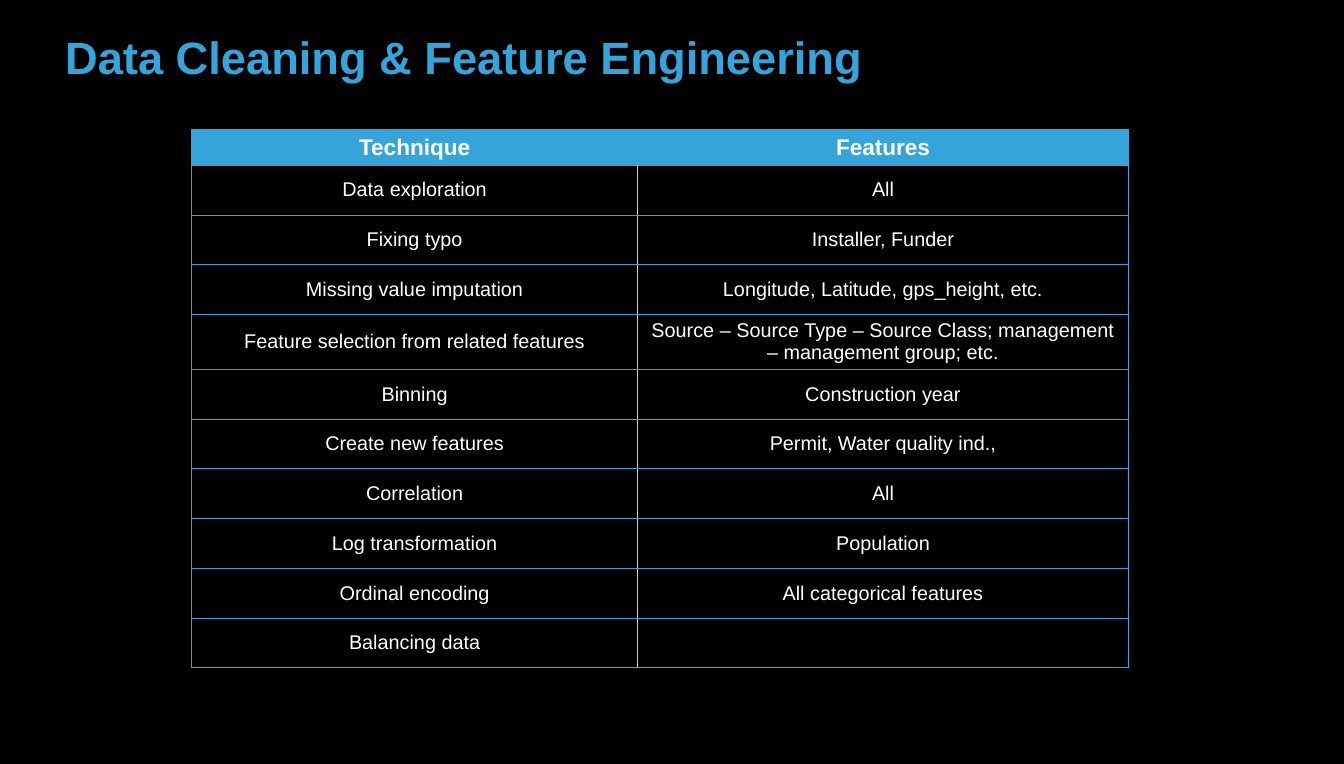
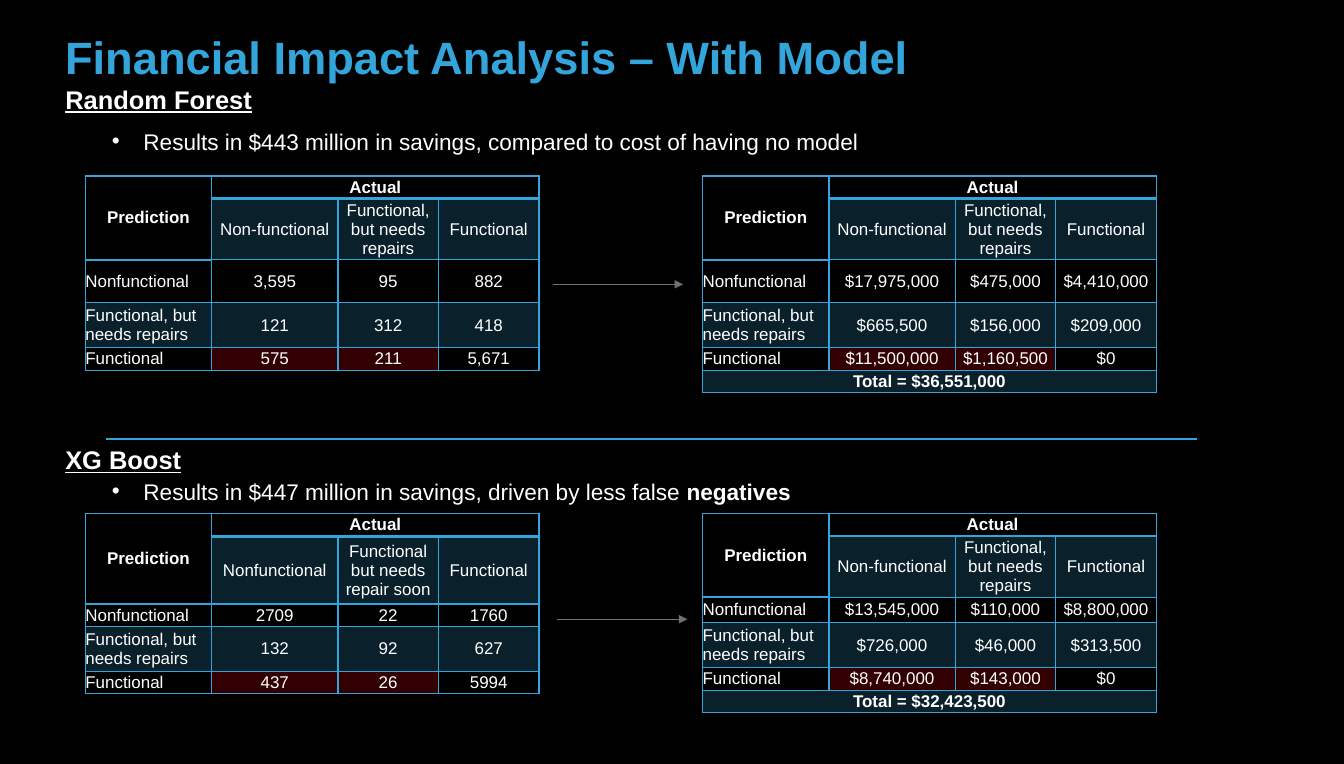
import pptx
import pptx.dml.color
import pptx.enum.shapes
import pptx.enum.text
import pptx.oxml
import pptx.oxml.ns
import pptx.util
from pptx.util import Cm

ACCENT, WHITE, BLACK, GREY = "34A5DA", "FFFFFF", "000000", "717171"
DIVIDER, BAND, MISSED = "AEDBF0", "0A212C", "320000"
FONT = "Arial"
NO_GRID_STYLE = "{2D5ABB26-0587-4C30-8999-92F81FD0307C}"
LEFT = pptx.enum.text.PP_ALIGN.LEFT
CENTER = pptx.enum.text.PP_ALIGN.CENTER
MIDDLE = pptx.enum.text.MSO_ANCHOR.MIDDLE


def paint(color_format, color):
    color_format.rgb = pptx.dml.color.RGBColor.from_string(color)


def add_xml(parent, tag, **attributes):
    child = pptx.oxml.parse_xml(f"<a:{tag} {pptx.oxml.ns.nsdecls('a')}/>")
    for name, value in attributes.items():
        child.set(name, str(value))
    parent.append(child)
    return child


class Slides:
    def __init__(self):
        self.deck = pptx.Presentation()
        self.deck.slide_width, self.deck.slide_height = Cm(33.53), Cm(19.05)
        backdrop = self.deck.slide_master.background.fill
        backdrop.solid()
        paint(backdrop.fore_color, BLACK)
        self.page = None

    def span(self, para, text, size, bold=False, color=WHITE, underline=False):
        span = para.add_run()
        span.text = text
        span.font.name, span.font.size = FONT, pptx.util.Pt(size)
        span.font.bold, span.font.underline = bold, underline
        paint(span.font.color, color)

    def new_page(self, title):
        self.page = self.deck.slides.add_slide(self.deck.slide_layouts[5])
        box = self.page.shapes.title
        box.left, box.top, box.width, box.height = Cm(1.37), Cm(0.33), Cm(30.25), Cm(2.13)
        box.text_frame.vertical_anchor = MIDDLE
        para = box.text_frame.paragraphs[0]
        para.alignment = LEFT
        self.span(para, title, 32, True, ACCENT)

    def text_box(self, left, top, width, height):
        box = self.page.shapes.add_textbox(Cm(left), Cm(top), Cm(width), Cm(height))
        box.text_frame.word_wrap = True
        return box.text_frame

    def heading(self, top, text):
        frame = self.text_box(1.38, top, 7.62, 1.02)
        self.span(frame.paragraphs[0], text, 18, True, underline=True)

    def bullet(self, top, plain, strong=""):
        frame = self.text_box(2.79, top, 21.11, 0.69)
        frame.margin_left = frame.margin_right = frame.margin_top = frame.margin_bottom = 0
        para = frame.paragraphs[0]
        properties = para._p.get_or_add_pPr()
        properties.set("marL", str(Cm(0.79)))
        properties.set("indent", str(-Cm(0.79)))
        add_xml(properties, "buFont", typeface=FONT)
        add_xml(properties, "buChar", char="•")
        self.span(para, plain, 16)
        if strong:
            self.span(para, strong, 16, True)

    def line(self, left, right, y, color, weight, arrow=False):
        line = self.page.shapes.add_connector(
            pptx.enum.shapes.MSO_CONNECTOR.STRAIGHT, Cm(left), Cm(y), Cm(right), Cm(y))
        line.line.width = pptx.util.Pt(weight)
        paint(line.line.color, color)
        if arrow:
            add_xml(line.line._get_or_add_ln(), "tailEnd", type="triangle")
        add_xml(line._element.spPr, "effectLst")

    def grid(self, left, top, widths, heights):
        frame = self.page.shapes.add_table(
            len(heights), len(widths), Cm(left), Cm(top), Cm(sum(widths)), Cm(sum(heights)))
        table = frame.table
        table.first_row = table.horz_banding = False
        table._tbl.tblPr.find(pptx.oxml.ns.qn("a:tableStyleId")).text = NO_GRID_STYLE
        for column, width in zip(table.columns, widths):
            column.width = Cm(width)
        for row, height in zip(table.rows, heights):
            row.height = Cm(height)
        return table

    def cell(self, cell, text, size, borders, inset=(0, 0), fill=None, bold=False, align=CENTER):
        properties = cell._tc.get_or_add_tcPr()
        for side, (color, weight) in borders.items():
            edge = add_xml(properties, f"ln{side}", w=pptx.util.Pt(weight))
            add_xml(add_xml(edge, "solidFill"), "srgbClr", val=color)
        if fill:
            cell.fill.solid()
            paint(cell.fill.fore_color, fill)
        else:
            cell.fill.background()
        cell.margin_left = cell.margin_right = Cm(inset[0])
        cell.margin_top = cell.margin_bottom = Cm(inset[1])
        cell.vertical_anchor = MIDDLE
        para = cell.text_frame.paragraphs[0]
        para.alignment = align
        if text:
            self.span(para, text, size, bold)

    def technique_table(self, rows):
        heights = [0.87] + [1.24] * (len(rows) - 1)
        heights[4] = 1.37
        table = self.grid(4.78, 3.23, [11.13, 12.24], heights)
        rule, divider = (ACCENT, 0.5), (DIVIDER, 1)
        for r, row in enumerate(rows):
            header = r == 0
            middle = rule if header else divider
            for c, text in enumerate(row):
                borders = {"L": middle if c else rule, "R": rule if c else middle,
                           "T": rule, "B": rule}
                self.cell(table.cell(r, c), text, 16 if header else 14, borders,
                          (0.25, 0.13), ACCENT if header else None, header)

    def matrix(self, left, top, heights, classes, counts, total=None):
        rows = [["Prediction", "Actual", "", ""], ["", *classes]]
        rows += [[label, *values] for label, values in zip(PREDICTIONS, counts)]
        if total:
            rows.append([total, "", "", ""])
        table = self.grid(left, top, [3.15, 3.15, 2.51, 2.51], heights)
        table.cell(0, 0).merge(table.cell(1, 0))
        table.cell(0, 1).merge(table.cell(0, 3))
        if total:
            table.cell(5, 0).merge(table.cell(5, 3))
        thin, thick = (ACCENT, 1), (ACCENT, 2)
        for r, row in enumerate(rows):
            for c, text in enumerate(row):
                borders = {"L": thin, "R": thin}
                if r == 0:
                    borders["T"] = thin
                borders["B"] = thick if r == 0 or (r, c) == (1, 0) else thin
                if r == 4 and c in (1, 2):
                    fill = MISSED
                elif r in (3, 5) or (r == 1 and c):
                    fill = BAND
                else:
                    fill = None
                self.cell(table.cell(r, c), text, 12, borders, fill=fill, bold=r in (0, 5),
                          align=LEFT if c == 0 and r in (2, 3, 4) else CENTER)


PREDICTIONS = ["Nonfunctional", "Functional, but needs repairs", "Functional"]
CLASSES = ["Non-functional", "Functional, but needs repairs", "Functional"]
TECHNIQUES = [
    ("Technique", "Features"),
    ("Data exploration", "All"),
    ("Fixing typo", "Installer, Funder"),
    ("Missing value imputation", "Longitude, Latitude, gps_height, etc."),
    ("Feature selection from related features",
     "Source – Source Type – Source Class; management – management group; etc."),
    ("Binning", "Construction year"),
    ("Create new features", "Permit, Water quality ind.,"),
    ("Correlation", "All"),
    ("Log transformation", "Population"),
    ("Ordinal encoding", "All categorical features"),
    ("Balancing data", ""),
]


def main():
    slides = Slides()
    slides.new_page("Data Cleaning & Feature Engineering")
    slides.technique_table(TECHNIQUES)

    slides.new_page("Financial Impact Analysis – With Model")
    count_left, cost_left = 2.13, 17.53
    forest_top, boost_top = 4.39, 12.8

    slides.heading(1.96, "Random Forest")
    slides.bullet(3.18, "Results in $443 million in savings, compared to cost of having no model")
    forest_heights = [0.56, 1.53, 1.07, 1.12, 0.56]
    slides.matrix(count_left, forest_top, forest_heights, CLASSES,
                  [("3,595", "95", "882"), ("121", "312", "418"), ("575", "211", "5,671")])
    slides.line(13.79, 17.04, 7.09, GREY, 0.5, arrow=True)
    slides.matrix(cost_left, forest_top, forest_heights + [0.56], CLASSES,
                  [("$17,975,000", "$475,000", "$4,410,000"),
                   ("$665,500", "$156,000", "$209,000"),
                   ("$11,500,000", "$1,160,500", "$0")], "Total = $36,551,000")

    slides.line(2.64, 29.87, 10.95, ACCENT, 1)

    slides.heading(10.95, "XG Boost")
    slides.bullet(11.91, "Results in $447 million in savings, driven by less false ", "negatives")
    slides.matrix(count_left, boost_top, [0.58, 1.68, 0.56, 1.12, 0.56],
                  ["Nonfunctional", "Functional but needs repair soon", "Functional"],
                  [("2709", "22", "1760"), ("132", "92", "627"), ("437", "26", "5994")])
    slides.line(13.89, 17.15, 15.44, GREY, 0.5, arrow=True)
    slides.matrix(cost_left, boost_top, [0.56, 1.53, 0.64, 1.12, 0.56, 0.56], CLASSES,
                  [("$13,545,000", "$110,000", "$8,800,000"),
                   ("$726,000", "$46,000", "$313,500"),
                   ("$8,740,000", "$143,000", "$0")], "Total = $32,423,500")

    slides.deck.save("out.pptx")


if __name__ == "__main__":
    main()
